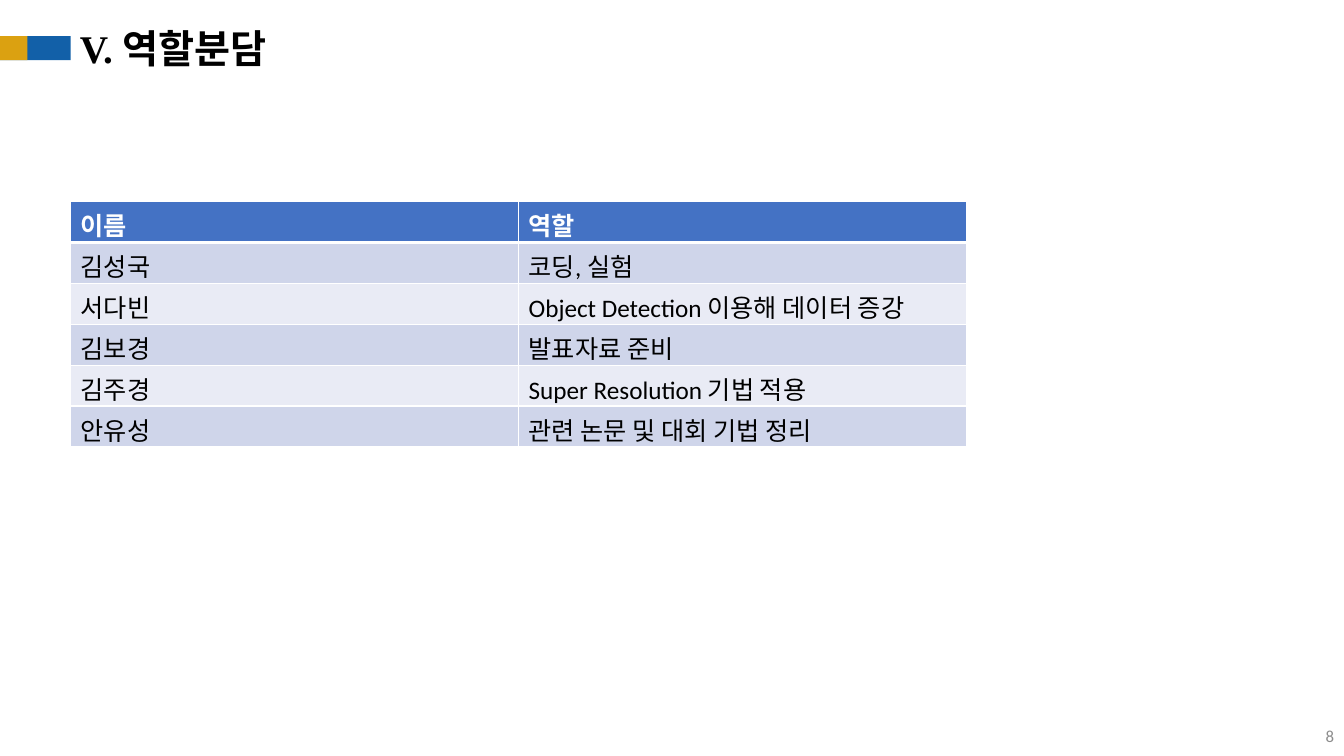
from dataclasses import dataclass

from lxml import etree
from pptx import Presentation
from pptx import util as u
from pptx.dml.color import RGBColor
from pptx.enum import shapes, text
from pptx.oxml import ns


@dataclass(frozen=True)
class Theme:
    blue: str = "1260A8"
    gold: str = "DBA111"
    header: str = "4472C4"
    bands: tuple = ("CFD5EA", "E9EBF5")
    black: str = "000000"
    white: str = "FFFFFF"
    gray: str = "8C8C8C"
    latin: str = "Calibri"
    serif: str = "Times New Roman"
    korean: str = "Noto Sans CJK KR"
    title_size: int = 28
    table_size: int = 18
    number_size: int = 12


class SlideBuilder:
    def __init__(self, prs, theme):
        self.theme = theme
        self.slide = prs.slides.add_slide(prs.slide_layouts[5])

    def run(self, p, words, color, **font):
        r = p.add_run()
        r.text = words
        for name, value in font.items():
            setattr(r.font, name, value)
        r.font.color.rgb = RGBColor.from_string(color)
        return r

    def title(self, number, words, left, top, width, height):
        sp = self.slide.shapes.title
        box = {"left": left, "top": top, "width": width, "height": height}
        for name, value in box.items():
            setattr(sp, name, u.Cm(value))
        tf = sp.text_frame
        frame = {"word_wrap": True, "auto_size": text.MSO_AUTO_SIZE.NONE,
                 "vertical_anchor": text.MSO_ANCHOR.TOP}
        for name, value in frame.items():
            setattr(tf, name, value)
        p = tf.paragraphs[0]
        p.alignment = text.PP_ALIGN.LEFT
        t = self.theme
        style = {"size": u.Pt(t.title_size), "bold": True}
        self.run(p, number + " ", t.black, name=t.serif, **style)
        r = self.run(p, words, t.black, name=t.korean, **style)
        etree.SubElement(r.font._element, ns.qn("a:ea"), typeface=t.korean)

    def bar(self, color, left, top, width, height):
        sp = self.slide.shapes.add_shape(
            shapes.MSO_SHAPE.RECTANGLE, *map(u.Cm, (left, top, width, height)))
        sp.shadow.inherit = False
        sp.fill.solid()
        sp.fill.fore_color.rgb = RGBColor.from_string(color)
        sp.line.fill.background()

    def page_number(self, number, left, top, width, height):
        sp = self.slide.shapes.add_textbox(*map(u.Cm, (left, top, width, height)))
        tf = sp.text_frame
        tf.word_wrap = True
        tf.vertical_anchor = text.MSO_ANCHOR.MIDDLE
        p = tf.paragraphs[0]
        p.alignment = text.PP_ALIGN.RIGHT
        t = self.theme
        self.run(p, str(number), t.gray, name=t.latin, size=u.Pt(t.number_size))

    def borders(self, cell, **widths):
        """Draw white cell borders; widths in points by side."""
        tc_pr = cell._tc.get_or_add_tcPr()
        for i, (side, width) in enumerate(widths.items()):
            ln = etree.Element(ns.qn(f"a:ln{side}"), w=str(u.Pt(width)))
            fill = etree.SubElement(ln, ns.qn("a:solidFill"))
            etree.SubElement(fill, ns.qn("a:srgbClr"), val=self.theme.white)
            tc_pr.insert(i, ln)

    def table(self, rows, left, top, width, row_height):
        t = self.theme
        frame = self.slide.shapes.add_table(
            len(rows), len(rows[0]),
            *map(u.Cm, (left, top, width, row_height * len(rows))))
        for i, row in enumerate(rows):
            head = i == 0
            fill = t.header if head else t.bands[(i - 1) % 2]
            for j, words in enumerate(row):
                cell = frame.table.cell(i, j)
                cell.fill.solid()
                cell.fill.fore_color.rgb = RGBColor.from_string(fill)
                self.borders(cell, L=1, R=1, T=3 if i == 1 else 1,
                             B=3 if head else 1)
                self.run(cell.text_frame.paragraphs[0], words,
                         t.white if head else t.black, name=t.latin,
                         size=u.Pt(t.table_size), bold=head)


def main():
    prs = Presentation()
    prs.slide_width, prs.slide_height = u.Cm(33.87), u.Cm(19.05)
    theme = Theme()
    s = SlideBuilder(prs, theme)
    for color, width in ((theme.blue, 1.78), (theme.gold, 0.69)):
        s.bar(color, 0, 0.91, width, 0.61)
    s.page_number(8, 26.25, 18.03, 7.62, 1.02)
    s.title("V.", "역할분담", 1.76, 0.48, 16.08, 3.84)
    roles = [
        ("이름", "역할"),
        ("김성국", "코딩, 실험"),
        ("서다빈", "Object Detection 이용해 데이터 증강"),
        ("김보경", "발표자료 준비"),
        ("김주경", "Super Resolution 기법 적용"),
        ("안유성", "관련 논문 및 대회 기법 정리"),
    ]
    s.table(roles, 1.78, 5.08, 22.58, 1.03)
    prs.save("out.pptx")


if __name__ == "__main__":
    main()
